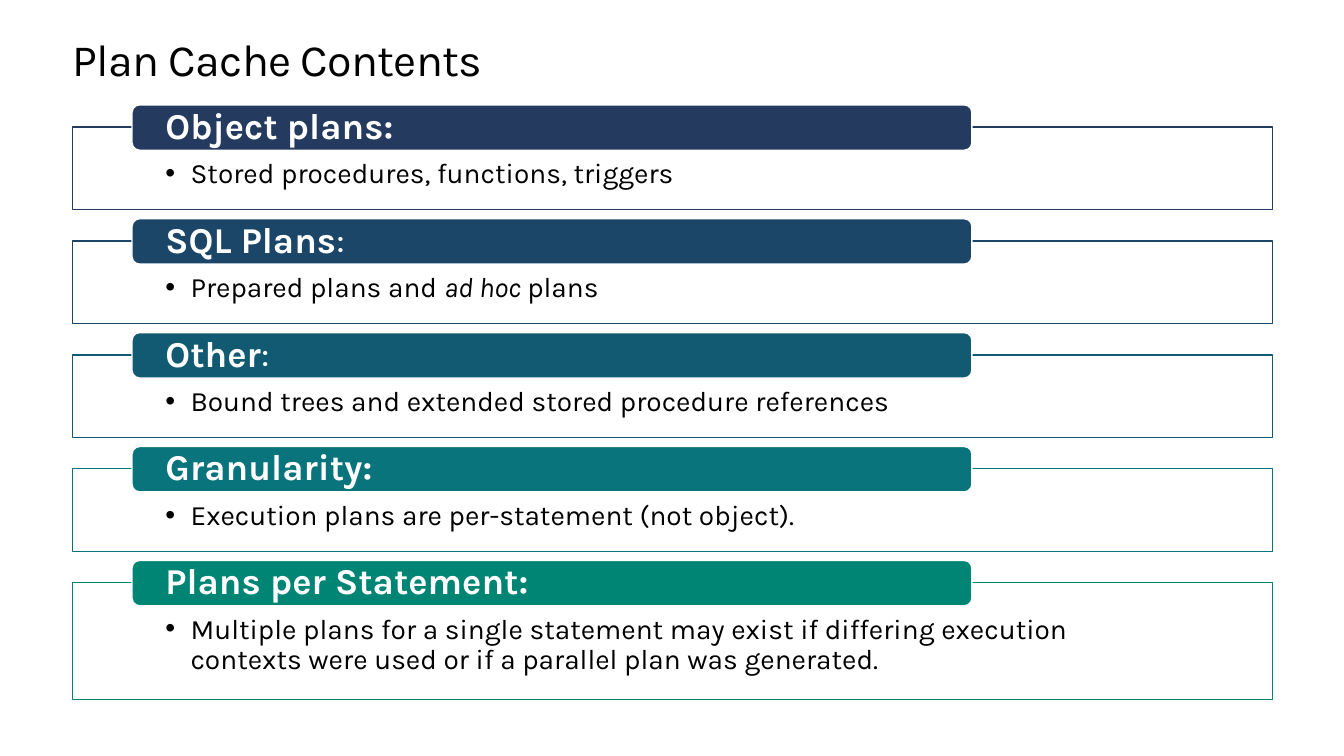
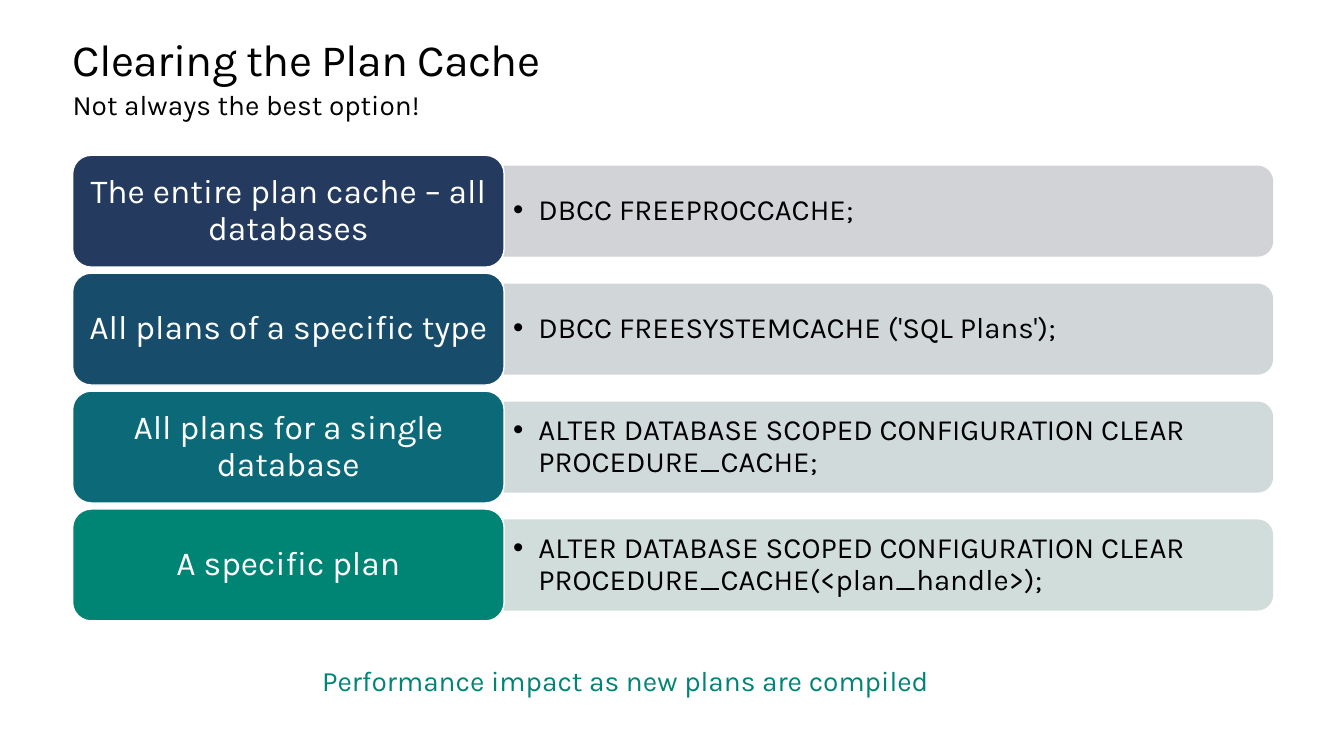
from lxml import etree
from pptx import Presentation
from pptx.dml.color import RGBColor
from pptx.enum.shapes import MSO_SHAPE
from pptx.enum.text import MSO_ANCHOR, PP_ALIGN
from pptx.oxml.ns import qn
from pptx.util import Inches, Pt

RECTANGLE = MSO_SHAPE.RECTANGLE
ROUNDED = MSO_SHAPE.ROUNDED_RECTANGLE
ROUNDED_TOP = MSO_SHAPE.ROUND_2_SAME_RECTANGLE
TOP, MIDDLE = MSO_ANCHOR.TOP, MSO_ANCHOR.MIDDLE
LEFT, CENTER = PP_ALIGN.LEFT, PP_ALIGN.CENTER

BLACK = RGBColor(0x00, 0x00, 0x00)
WHITE = RGBColor(0xFF, 0xFF, 0xFF)
NAVY = RGBColor(0x24, 0x3A, 0x5E)
DEEP_BLUE = RGBColor(0x1B, 0x46, 0x68)
BLUE = RGBColor(0x18, 0x4C, 0x6B)
PETROL = RGBColor(0x12, 0x5A, 0x71)
DARK_TEAL = RGBColor(0x0C, 0x6A, 0x78)
TEAL = RGBColor(0x09, 0x74, 0x7B)
GREEN = RGBColor(0x00, 0x85, 0x75)
PALE_NAVY = RGBColor(0xD2, 0xD3, 0xD6)
PALE_BLUE = RGBColor(0xD1, 0xD6, 0xD8)
PALE_TEAL = RGBColor(0xD1, 0xDA, 0xDB)
PALE_GREEN = RGBColor(0xD1, 0xDD, 0xDA)

FONT = "Karla"
MARGIN = 0.72
CONTENT_WIDTH = 11.9
NO_INSETS = (0, 0, 0, 0)


class Deck:
    def __init__(self):
        self.presentation = Presentation()
        self.presentation.slide_width = Inches(13.33)
        self.presentation.slide_height = Inches(7.5)
        self.slide = None

    def add_slide(self, title):
        layout = self.presentation.slide_layouts.get_by_name("Title Only")
        self.slide = self.presentation.slides.add_slide(layout)
        shape = self.slide.shapes.title
        shape.left, shape.top = Inches(MARGIN), Inches(0.35)
        shape.width, shape.height = Inches(CONTENT_WIDTH), Inches(0.5)
        self.set_text(shape, [(title, {})], 32, line_spacing=Pt(36.2))
        properties = shape.text_frame.paragraphs[0]._p.get_or_add_pPr()
        properties.get_or_add_defRPr().set("spc", "-50")

    def set_text(self, shape, runs, size, color=BLACK, insets=NO_INSETS, anchor=TOP,
                 align=LEFT, line_spacing=0.9, bullet=False):
        frame = shape.text_frame
        frame.word_wrap = True
        frame.vertical_anchor = anchor
        (frame.margin_left, frame.margin_top,
         frame.margin_right, frame.margin_bottom) = map(Inches, insets)
        paragraph = frame.paragraphs[0]
        paragraph.alignment = align
        paragraph.line_spacing = line_spacing
        if bullet:
            properties = paragraph._p.get_or_add_pPr()
            properties.set("marL", str(Inches(0.25)))
            properties.set("indent", str(Inches(-0.25)))
            etree.SubElement(properties, qn("a:buFont")).set("typeface", "Arial")
            etree.SubElement(properties, qn("a:buChar")).set("char", "•")
        paragraph.font.name = FONT
        paragraph.font.size = Pt(size)
        paragraph.font.color.rgb = color
        for text, style in runs:
            run = paragraph.add_run()
            run.text = text
            run.font.bold = style.get("bold")
            run.font.italic = style.get("italic")

    def add_box(self, kind, left, top, width, height, fill, line):
        shape = self.slide.shapes.add_shape(
            kind, Inches(left), Inches(top), Inches(width), Inches(height))
        shape.shadow.inherit = False
        shape.fill.solid()
        shape.fill.fore_color.rgb = fill
        shape.line.color.rgb = line
        shape.line.width = Pt(1)
        return shape

    def add_text(self, left, top, width, height, text, size, **style):
        shape = self.slide.shapes.add_textbox(
            Inches(left), Inches(top), Inches(width), Inches(height))
        self.set_text(shape, [(text, {})], size, **style)

    def add_section(self, top, height, color, heading, details):
        body = self.add_box(RECTANGLE, MARGIN, top + 0.22, CONTENT_WIDTH, height, WHITE, color)
        self.set_text(body, details, 20, insets=(0.92, 0.32, 0.92, 0.16), bullet=True)
        header = self.add_box(ROUNDED, 1.31, top, 8.33, 0.45, color, WHITE)
        self.set_text(header, heading, 26, WHITE, (0.31, 0, 0.31, 0), MIDDLE)

    def add_command(self, top, color, pale, label_text, command):
        length, thickness, label_width, label_height = 7.62, 0.89, 4.28, 1.11
        bar_left = MARGIN + label_width
        center = top + label_height / 2
        bar = self.add_box(ROUNDED_TOP, bar_left + (length - thickness) / 2,
                           center - length / 2, thickness, length, pale, pale)
        bar.rotation = 90
        self.add_text(bar_left, center - 0.4, 7.57, 0.8, command, 21,
                      insets=(0.09, 0.04, 0.09, 0.04), anchor=MIDDLE, bullet=True)
        label = self.add_box(ROUNDED, MARGIN, top, label_width, label_height, color, WHITE)
        self.set_text(label, [(label_text, {})], 24, WHITE,
                      (0.08, 0.05, 0.08, 0.05), MIDDLE, CENTER)


def build_contents(deck):
    deck.add_slide("Plan Cache Contents")
    bold, regular = {"bold": True}, {"bold": False}
    sections = [
        (0.82, NAVY, [("Object plans:", bold)],
         [("Stored procedures, functions, triggers", {})]),
        (0.82, DEEP_BLUE, [("SQL Plans", bold), (":", regular)],
         [("Prepared plans and ", {}), ("ad hoc ", {"italic": True}), ("plans", {})]),
        (0.82, PETROL, [("Other", bold), (":", regular)],
         [("Bound trees and extended stored procedure references", {})]),
        (0.82, TEAL, [("Granularity:", bold)],
         [("Execution plans are per-statement (not object).", {})]),
        (1.16, GREEN, [("Plans per Statement:", bold)],
         [("Multiple plans for a single statement may exist if differing execution "
           "contexts were used or if a parallel plan was generated.", {})]),
    ]
    for index, section in enumerate(sections):
        deck.add_section(1.04 + 1.13 * index, *section)


def build_clearing(deck):
    deck.add_slide("Clearing the Plan Cache")
    deck.add_text(MARGIN, 0.87, CONTENT_WIDTH, 0.5, "Not always the best option!", 20,
                  line_spacing=1.0)
    commands = [
        (NAVY, PALE_NAVY, "The entire plan cache – all databases", "DBCC FREEPROCCACHE;"),
        (BLUE, PALE_BLUE, "All plans of a specific type",
         "DBCC FREESYSTEMCACHE ('SQL Plans');"),
        (DARK_TEAL, PALE_TEAL, "All plans for a single database",
         "ALTER DATABASE SCOPED CONFIGURATION CLEAR PROCEDURE_CACHE;"),
        (GREEN, PALE_GREEN, "A specific plan",
         "ALTER DATABASE SCOPED CONFIGURATION CLEAR PROCEDURE_CACHE(<plan_handle>);"),
    ]
    for index, command in enumerate(commands):
        deck.add_command(1.54 + 1.17 * index, *command)
    deck.add_text(2.33, 6.58, 7.75, 0.34, "Performance impact as new plans are compiled", 20,
                  color=GREEN, align=CENTER, line_spacing=1.0)


def main():
    deck = Deck()
    build_contents(deck)
    build_clearing(deck)
    deck.presentation.save("out.pptx")


if __name__ == "__main__":
    main()
